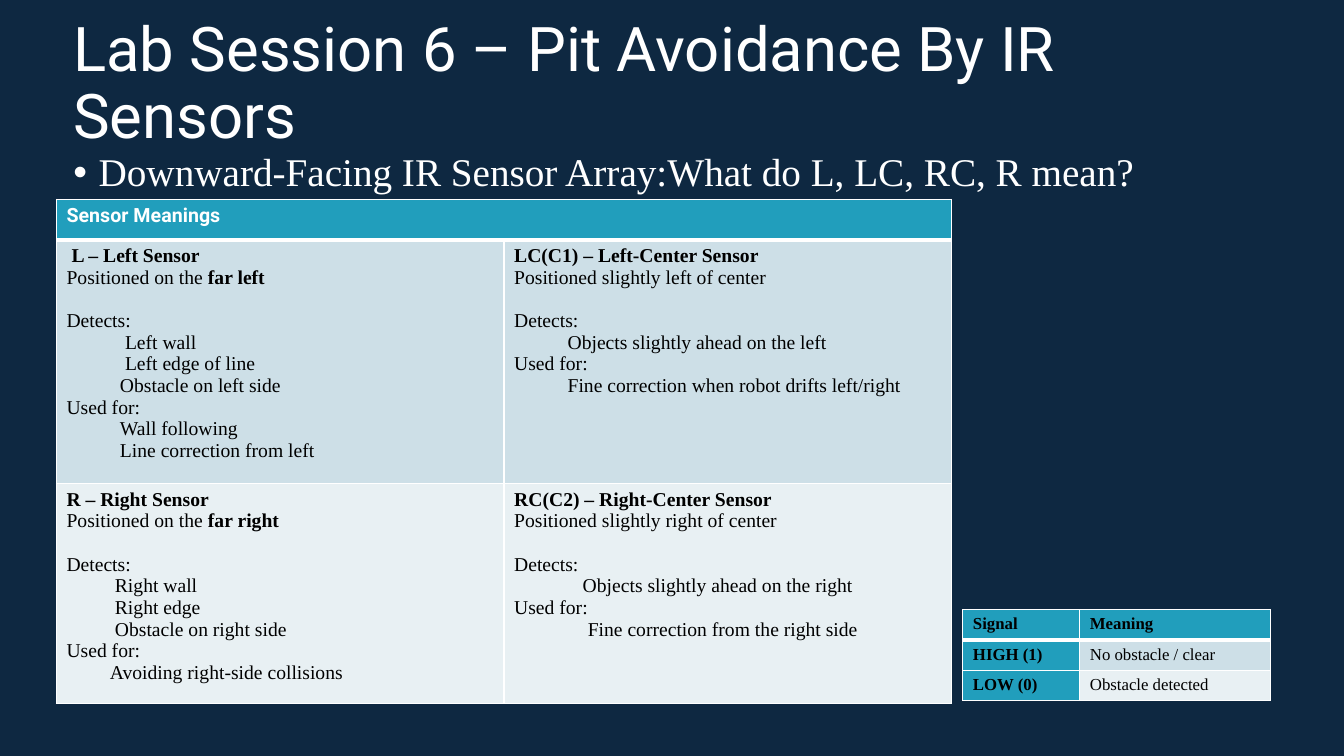
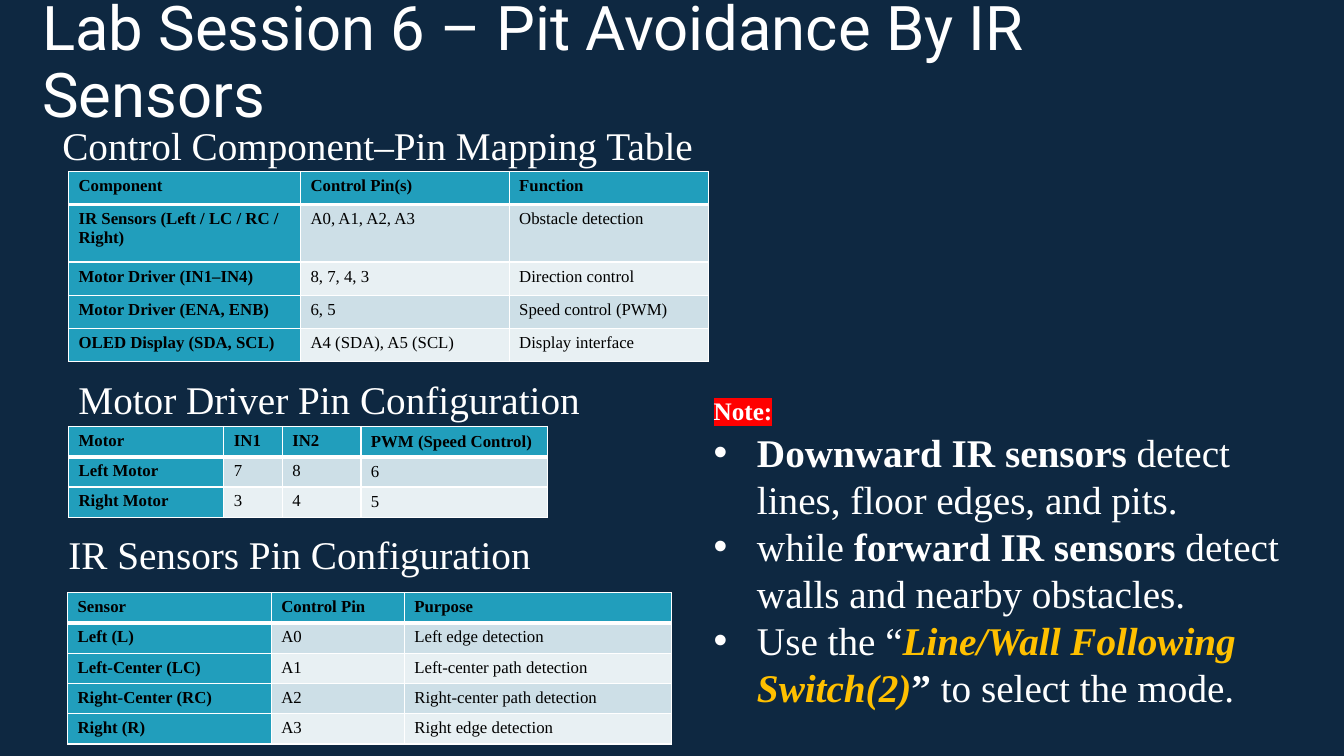
import lxml.etree
import pptx
import pptx.dml.color
import pptx.enum.text
import pptx.oxml.ns
import pptx.util

Inches = pptx.util.Inches
Pt = pptx.util.Pt
qn = pptx.oxml.ns.qn
ANCHOR = pptx.enum.text.MSO_ANCHOR

COLORS = {
    "navy": "0E2841", "white": "FFFFFF", "black": "000000", "teal": "219EBC",
    "band_dark": "CDDFE7", "band_light": "E8F0F3", "red": "FF0000", "amber": "FFC000",
}
SERIF = "Times New Roman"
SANS = "Roboto"
TITLE = "Lab Session 6 – Pit Avoidance By IR Sensors"

# Each line of a sensor cell: left indent in inches, then text.
SENSOR_CELLS = [
    [
        {"name": (0.05, "L – Left Sensor"), "place": ("Positioned on the ", "far left"),
         "detects": [(0.58, "Left wall"), (0.58, "Left edge of line"),
                     (0.53, "Obstacle on left side")],
         "used": [(0.53, "Wall following"), (0.53, "Line correction from left")]},
        {"name": (0, "LC(C1) – Left-Center Sensor"),
         "place": ("Positioned slightly left of center", ""),
         "detects": [(0.53, "Objects slightly ahead on the left")],
         "used": [(0.53, "Fine correction when robot drifts left/right")]},
    ],
    [
        {"name": (0, "R – Right Sensor"), "place": ("Positioned on the ", "far right"),
         "detects": [(0.48, "Right wall"), (0.48, "Right edge"),
                     (0.48, "Obstacle on right side")],
         "used": [(0.43, "Avoiding right-side collisions")]},
        {"name": (0, "RC(C2) – Right-Center Sensor"),
         "place": ("Positioned slightly right of center", ""),
         "detects": [(0.68, "Objects slightly ahead on the right")],
         "used": [(0.73, "Fine correction from the right side")]},
    ],
]
SIGNAL_ROWS = [
    ["Signal", "Meaning"],
    ["HIGH (1)", "No obstacle / clear"],
    ["LOW (0)", "Obstacle detected"],
]
COMPONENT_ROWS = [
    ["Component", "Control Pin(s)", "Function"],
    ["IR Sensors (Left / LC / RC / Right)", "A0, A1, A2, A3", "Obstacle detection"],
    ["Motor Driver (IN1–IN4)", "8, 7, 4, 3", "Direction control"],
    ["Motor Driver (ENA, ENB)", "6, 5", "Speed control (PWM)"],
    ["OLED Display (SDA, SCL)", "A4 (SDA), A5 (SCL)", "Display interface"],
]
MOTOR_ROWS = [
    ["Motor", "IN1", "IN2", "PWM (Speed Control)"],
    ["Left Motor", "7", "8", "6"],
    ["Right Motor", "3", "4", "5"],
]
IR_ROWS = [
    ["Sensor", "Control Pin", "Purpose"],
    ["Left (L)", "A0", "Left edge detection"],
    ["Left-Center (LC)", "A1", "Left-center path detection"],
    ["Right-Center (RC)", "A2", "Right-center path detection"],
    ["Right (R)", "A3", "Right edge detection"],
]


def rgb(name):
    return pptx.dml.color.RGBColor.from_string(COLORS[name])


def add_run(para, text, size, color="white", bold=False, italic=False, font=SERIF):
    span = para.add_run()
    span.text = text
    span.font.size = Pt(size)
    span.font.name = font
    span.font.bold = bold
    span.font.italic = italic
    span.font.color.rgb = rgb(color)
    return span


def highlight(span, color):
    props = span._r.get_or_add_rPr()
    mark = lxml.etree.Element(qn("a:highlight"))
    lxml.etree.SubElement(mark, qn("a:srgbClr")).set("val", COLORS[color])
    props.find(qn("a:solidFill")).addnext(mark)


def indent(para, left, first=0):
    props = para._p.get_or_add_pPr()
    props.set("marL", str(Inches(left)))
    props.set("indent", str(Inches(first)))
    return props


def add_bullet(para, width):
    props = indent(para, width, -width)
    lxml.etree.SubElement(props, qn("a:buFont")).set("typeface", "Arial")
    lxml.etree.SubElement(props, qn("a:buChar")).set("char", "•")


def next_para(frame):
    """Return the frame's empty first paragraph, or a new one after its text."""
    first = frame.paragraphs[0]
    return frame.add_paragraph() if first.runs else first


def add_box(page, left, top, width, height):
    box = page.shapes.add_textbox(Inches(left), Inches(top), Inches(width), Inches(height))
    box.text_frame.word_wrap = True
    return box.text_frame


def add_title(page, left, top):
    frame = add_box(page, left, top, 11.5, 1.45)
    frame.vertical_anchor = ANCHOR.MIDDLE
    para = frame.paragraphs[0]
    para.line_spacing = 0.9
    add_run(para, TITLE, 44, font=SANS)


def add_heading(page, text, left, top, width, spacing=1.0):
    para = add_box(page, left, top, width, 0.57).paragraphs[0]
    para.line_spacing = spacing
    add_run(para, text, 28)
    return para


def style_cell(cell, fill, top_line, bottom_line):
    """Fill a cell and rule its four sides in white; line widths in points."""
    cell.fill.solid()
    cell.fill.fore_color.rgb = rgb(fill)
    sides = {"L": 1, "R": 1, "T": top_line, "B": bottom_line}
    for place, (side, width) in enumerate(sides.items()):
        line = lxml.etree.Element(qn("a:ln" + side))
        line.set("w", str(Pt(width)))
        paint = lxml.etree.SubElement(line, qn("a:solidFill"))
        lxml.etree.SubElement(paint, qn("a:srgbClr")).set("val", COLORS["white"])
        cell._tc.get_or_add_tcPr().insert(place, line)


def add_grid(page, left, top, widths, heights, teal_first_column=True):
    """Add a table with a teal header, banded rows and white rules."""
    frame = page.shapes.add_table(
        len(heights), len(widths), Inches(left), Inches(top),
        Inches(sum(widths)), Inches(sum(heights)))
    table = frame.table
    for column, width in zip(table.columns, widths):
        column.width = Inches(width)
    for r, height in enumerate(heights):
        table.rows[r].height = Inches(height)
        for c in range(len(widths)):
            if r == 0 or (c == 0 and teal_first_column):
                fill = "teal"
            else:
                fill = "band_dark" if r % 2 else "band_light"
            style_cell(table.cell(r, c), fill, 3 if r == 1 else 1, 3 if r == 0 else 1)
    return table


def add_data_table(page, left, top, widths, heights, rows):
    table = add_grid(page, left, top, widths, heights)
    for r, row in enumerate(rows):
        for c, text in enumerate(row):
            add_run(table.cell(r, c).text_frame.paragraphs[0], text, 12, "black",
                    bold=r == 0 or c == 0)
    return table


def write_sensor(frame, sensor):
    def add_line(left, text, bold=False):
        para = next_para(frame)
        indent(para, left)
        add_run(para, text, 14, "black", bold)
        return para

    add_line(*sensor["name"], bold=True)
    plain, strong = sensor["place"]
    para = add_line(0, plain)
    if strong:
        add_run(para, strong, 14, "black", bold=True)
    add_line(0, "Detects:").space_before = Pt(15.5)
    for line in sensor["detects"]:
        add_line(*line)
    add_line(0, "Used for:")
    for line in sensor["used"]:
        add_line(*line)


def add_sensor_table(page):
    table = add_grid(page, 0.56, 1.98, [4.44] * 2, [0.4, 2.25, 2.03],
                     teal_first_column=False)
    table.cell(0, 0).merge(table.cell(0, 1))
    add_run(table.cell(0, 0).text_frame.paragraphs[0], "Sensor Meanings", 14,
            bold=True, font=SANS)
    for r, row in enumerate(SENSOR_CELLS, start=1):
        for c, sensor in enumerate(row):
            write_sensor(table.cell(r, c).text_frame, sensor)


def add_note(page):
    frame = add_box(page, 6.98, 3.87, 5.83, 3.08)
    para = frame.paragraphs[0]
    para.space_after = Pt(2)
    highlight(add_run(para, "Note:", 18, bold=True), "red")
    strong = {"bold": True}
    points = [
        [("Downward IR sensors", strong), (" detect lines, floor edges, and pits.", {})],
        [("while ", {}), ("forward IR sensors", strong),
         (" detect walls and nearby obstacles.", {})],
        [("Use the “", {}),
         ("Line/Wall Following Switch(2)", {"color": "amber", "bold": True, "italic": True}),
         ("”", strong), (" to select the mode.", {})],
    ]
    for point in points:
        para = next_para(frame)
        add_bullet(para, 0.43)
        for text, look in point:
            add_run(para, text, 28, **look)


def build_sensor_page(page):
    add_title(page, 0.63, 0.12)
    heading = add_heading(
        page, "Downward-Facing IR Sensor Array:What do L, LC, RC, R mean?",
        0.63, 1.47, 12.15, 0.9)
    add_bullet(heading, 0.25)
    add_sensor_table(page)
    add_data_table(page, 9.55, 6.05, [1.16, 1.89], [0.29, 0.3, 0.3], SIGNAL_ROWS)


def build_pin_page(page):
    add_title(page, 0.32, -0.09)
    add_heading(page, "Control Component–Pin Mapping Table", 0.52, 1.21, 12.24, 0.9)
    add_data_table(page, 0.68, 1.7, [2.3, 2.07, 1.98], [0.33, 0.57] + [0.33] * 3,
                   COMPONENT_ROWS)
    add_heading(page, "Motor Driver Pin Configuration", 0.68, 3.67, 5.28)
    motors = add_data_table(page, 0.68, 4.23, [1.54, 0.58, 0.78, 1.85], [0.3] * 3,
                            MOTOR_ROWS)
    for r in range(len(MOTOR_ROWS)):
        motors.cell(r, 3).vertical_anchor = ANCHOR.MIDDLE
    add_heading(page, "IR Sensors Pin Configuration", 0.58, 5.21, 7.38)
    add_data_table(page, 0.67, 5.88, [2.02, 1.32, 2.65], [0.3] * 5, IR_ROWS)
    add_note(page)


def main():
    deck = pptx.Presentation()
    deck.slide_width = Inches(13.33)
    deck.slide_height = Inches(7.5)
    backdrop = deck.slide_master.background.fill
    backdrop.solid()
    backdrop.fore_color.rgb = rgb("navy")
    for build in (build_sensor_page, build_pin_page):
        build(deck.slides.add_slide(deck.slide_layouts[6]))
    deck.save("out.pptx")


if __name__ == "__main__":
    main()
